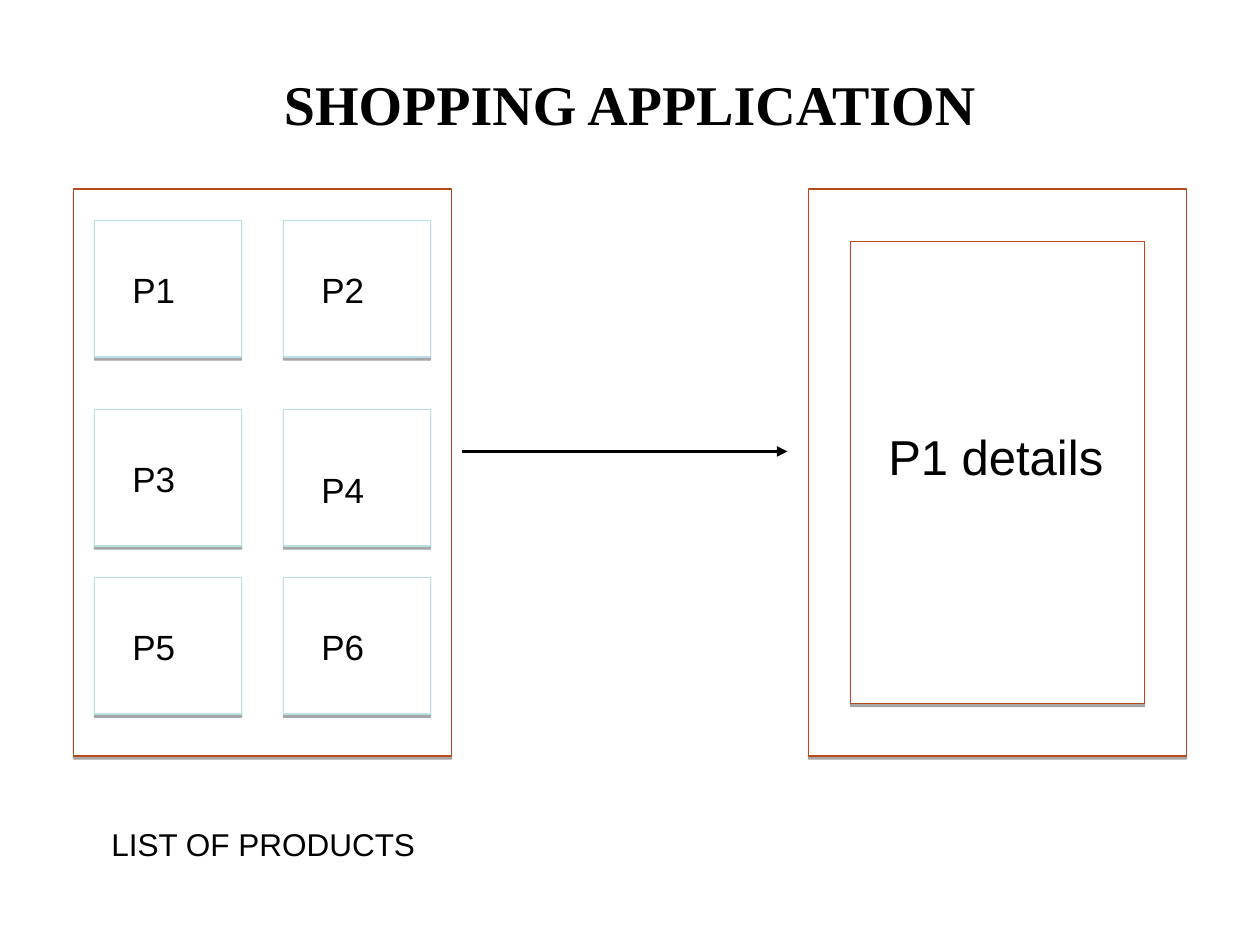
import pptx
import pptx.util
import pptx.dml.color
import pptx.enum.shapes
import pptx.enum.text
import pptx.oxml
import pptx.oxml.ns
from pptx.util import Pt

COLORS = {"text": "000000", "fill": "FFFFFF", "panel": "B64A1D", "card": "BBE0E3"}
NS = pptx.oxml.ns.nsdecls("a")
SHADOW = (
    f'<a:effectLst {NS}><a:outerShdw dist="{Pt(1.8)}" dir="5400000" rotWithShape="0">'
    f'<a:srgbClr val="{COLORS["text"]}"><a:alpha val="35000"/></a:srgbClr>'
    "</a:outerShdw></a:effectLst>"
)


def rgb(name):
    return pptx.dml.color.RGBColor.from_string(COLORS[name])


def add_box(s, x, y, w, h, line):
    rect = pptx.enum.shapes.MSO_SHAPE.RECTANGLE
    sp = s.shapes.add_shape(rect, Pt(x), Pt(y), Pt(w), Pt(h))
    sp.shadow.inherit = False
    sp.fill.solid()
    sp.fill.fore_color.rgb = rgb("fill")
    sp.line.color.rgb = rgb(line)
    sp.line.width = Pt(0.75)
    props = sp.element.spPr
    props.remove(props.find(pptx.oxml.ns.qn("a:effectLst")))
    props.append(pptx.oxml.parse_xml(SHADOW))


def set_text(sp, text, size, font="Arial", bold=False, align="LEFT"):
    tf = sp.text_frame
    tf.word_wrap = True
    tf.auto_size = pptx.enum.text.MSO_AUTO_SIZE.NONE
    tf.vertical_anchor = pptx.enum.text.MSO_ANCHOR.TOP
    tf.margin_left = tf.margin_right = tf.margin_top = tf.margin_bottom = Pt(3.6)
    p = tf.paragraphs[0]
    p.alignment = pptx.enum.text.PP_ALIGN[align]
    r = p.add_run()
    r.text = text
    r.font.name = font
    r.font.size = Pt(size)
    r.font.bold = bold
    r.font.color.rgb = rgb("text")


def add_label(s, x, y, w, h, text, size):
    set_text(s.shapes.add_textbox(Pt(x), Pt(y), Pt(w), Pt(h)), text, size)


def set_title(s, text):
    sp = s.shapes.title
    sp.left, sp.top, sp.width, sp.height = Pt(126), Pt(36), Pt(468), Pt(45)
    set_text(sp, text, 32, "Times New Roman", True, "CENTER")


def add_arrow(s, x1, x2, y):
    straight = pptx.enum.shapes.MSO_CONNECTOR.STRAIGHT
    sp = s.shapes.add_connector(straight, Pt(x1), Pt(y), Pt(x2), Pt(y))
    sp.line.color.rgb = rgb("text")
    sp.line.width = Pt(2)
    sp.line._get_or_add_ln().append(
        pptx.oxml.parse_xml(f'<a:tailEnd {NS} type="triangle"/>'))
    sp._element.spPr.append(pptx.oxml.parse_xml(f"<a:effectLst {NS}/>"))


def add_product_list(s):
    add_box(s, 42, 108, 216, 324, "panel")
    for row, y in enumerate((126, 234, 330)):
        for col, x in enumerate((54, 162)):
            name = f"P{2 * row + col + 1}"
            drop = 30 if name == "P4" else 24
            add_box(s, x, y, 84, 78, "card")
            add_label(s, x + 18, y + drop, 42, 29.5, name, 20)
    add_label(s, 60, 468, 204, 27, "LIST OF PRODUCTS", 18)


def add_product_details(s):
    add_box(s, 462, 108, 216, 324, "panel")
    add_box(s, 486, 138, 168, 264, "panel")
    add_label(s, 504, 240, 168, 38, "P1 details", 28)


def main():
    prs = pptx.Presentation()
    prs.slide_width, prs.slide_height = Pt(720), Pt(540)
    s = prs.slides.add_slide(prs.slide_layouts[5])
    set_title(s, "SHOPPING APPLICATION")
    add_product_list(s)
    add_arrow(s, 264, 450, 258)
    add_product_details(s)
    prs.save("out.pptx")


if __name__ == "__main__":
    main()
